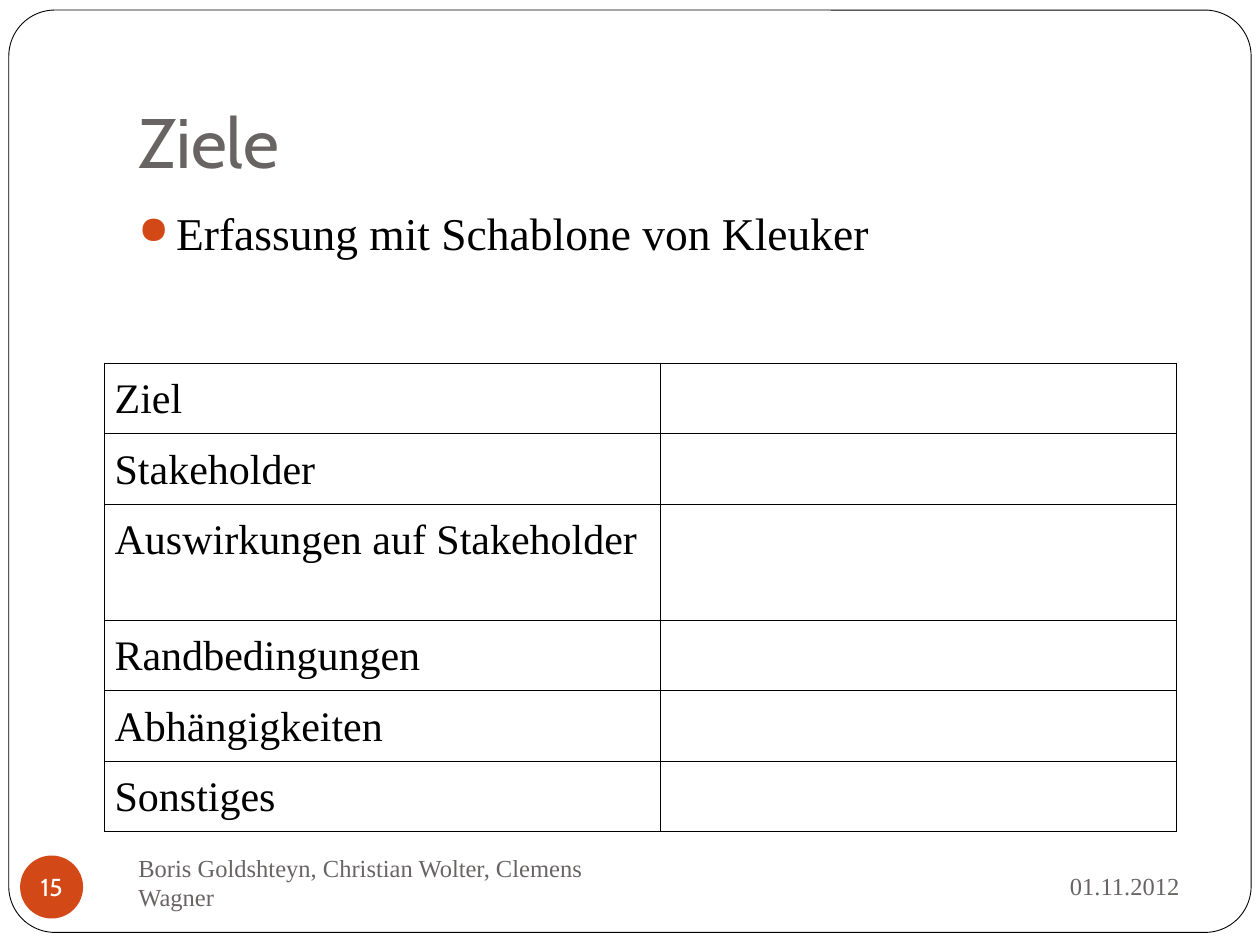
from dataclasses import dataclass

from lxml import etree
from pptx import Presentation
from pptx.dml.color import RGBColor
from pptx.enum.shapes import MSO_SHAPE
from pptx.enum.text import MSO_ANCHOR, PP_ALIGN
from pptx.oxml.ns import qn
from pptx.util import Inches, Pt

ROUND, OVAL = MSO_SHAPE.ROUNDED_RECTANGLE, MSO_SHAPE.OVAL
TOP, MIDDLE, BOTTOM = MSO_ANCHOR.TOP, MSO_ANCHOR.MIDDLE, MSO_ANCHOR.BOTTOM
LEFT, CENTER, RIGHT = PP_ALIGN.LEFT, PP_ALIGN.CENTER, PP_ALIGN.RIGHT


@dataclass(frozen=True)
class Theme:
    black: str = "000000"
    white: str = "FFFFFF"
    gray: str = "696464"
    accent: str = "D34817"
    head: str = "Cabin"
    body: str = "Times New Roman"
    title: float = 40
    lead: float = 26
    cell: float = 24
    small: float = 14
    frame: float = 0.5
    grid: float = 0.45


class Deck:
    """Draws styled elements on the current slide."""

    def __init__(self, prs, theme):
        self.theme = theme
        self.slide = prs.slides.add_slide(prs.slide_layouts[6])

    def add_run(self, para, text, size, font, color):
        run = para.add_run()
        run.text = text
        run.font.size = Pt(size)
        run.font.name = font
        run.font.color.rgb = RGBColor.from_string(color)

    def shape(self, kind, box, fill, line=None):
        shape = self.slide.shapes.add_shape(kind, *map(Inches, box))
        shape.shadow.inherit = False
        shape.fill.solid()
        shape.fill.fore_color.rgb = RGBColor.from_string(fill)
        if line:
            shape.line.color.rgb = RGBColor.from_string(line)
            shape.line.width = Pt(self.theme.frame)
        else:
            shape.line.fill.background()
        return shape

    def frame(self, box, round_by):
        shape = self.shape(ROUND, box, self.theme.white, self.theme.black)
        shape.adjustments[0] = round_by

    def badge(self, box, text):
        frame = self.shape(OVAL, box, self.theme.accent).text_frame
        frame.margin_left = frame.margin_right = 0
        frame.margin_top = frame.margin_bottom = 0
        frame.word_wrap = False
        frame.vertical_anchor = MIDDLE
        para = frame.paragraphs[0]
        para.alignment = CENTER
        self.add_run(para, text, self.theme.small, self.theme.head, self.theme.white)

    def text(self, box, text, size, font, color, anchor=MIDDLE, align=LEFT, base=0.05):
        frame = self.slide.shapes.add_textbox(*map(Inches, box)).text_frame
        frame.word_wrap = True
        frame.vertical_anchor = anchor
        frame.margin_bottom = Inches(base)
        para = frame.paragraphs[0]
        para.alignment = align
        self.add_run(para, text, size, font, color)
        return para

    def bullet(self, box, text):
        theme = self.theme
        para = self.text(box, text, theme.lead, theme.body, theme.black, TOP)
        para.space_before = para.space_after = Pt(6)
        props = para._p.get_or_add_pPr()
        props.set("marL", str(Inches(0.3)))
        props.set("indent", str(Inches(-0.3)))
        tint = etree.SubElement(props, qn("a:buClr"))
        etree.SubElement(tint, qn("a:srgbClr"), val=theme.accent)
        etree.SubElement(props, qn("a:buSzPct"), val="85000")
        etree.SubElement(props, qn("a:buChar"), char="●")

    def border(self, cell):
        props = cell._tc.get_or_add_tcPr()
        for index, side in enumerate(("lnL", "lnR", "lnT", "lnB")):
            line = etree.Element(qn(f"a:{side}"), w=str(Pt(self.theme.grid)))
            fill = etree.SubElement(line, qn("a:solidFill"))
            etree.SubElement(fill, qn("a:srgbClr"), val=self.theme.black)
            props.insert(index, line)

    def table(self, left, top, widths, rows):
        theme = self.theme
        box = left, top, sum(widths), sum(height for _, height in rows)
        table = self.slide.shapes.add_table(
            len(rows), len(widths), *map(Inches, box)).table
        table.first_row = table.horz_banding = False
        for column, width in zip(table.columns, widths):
            column.width = Inches(width)
        for row, (label, height) in zip(table.rows, rows):
            row.height = Inches(height)
            for cell in row.cells:
                cell.margin_left = cell.margin_right = Inches(0.08)
                cell.fill.background()
                self.border(cell)
            para = row.cells[0].text_frame.paragraphs[0]
            para.line_spacing = 1.15
            self.add_run(para, label, theme.cell, theme.body, theme.black)


def main():
    prs = Presentation()
    prs.slide_width, prs.slide_height = Inches(10), Inches(7.5)
    theme = Theme()
    deck = Deck(prs, theme)
    note = theme.small, theme.body, theme.gray
    step = 0.46

    deck.frame((0.07, 0.08, 9.86, 7.32), 0.05)
    deck.text((1, 0.3, 8.5, 1.25), "Ziele", theme.title, theme.head, theme.gray,
              BOTTOM, base=0.1)
    deck.text((6.75, 6.77, 2.71, 0.52), "01.11.2012", *note, align=RIGHT)
    deck.text((1, 6.75, 4.33, 0.5),
              "Boris Goldshteyn, Christian Wolter, Clemens Wagner", *note)
    deck.badge((0.16, 6.79, 0.5, 0.5), "15")
    deck.bullet((1, 1.58, 8.5, 5), "Erfassung mit Schablone von Kleuker")
    deck.table(0.83, 2.88, (4.41, 4.1), (
        ("Ziel", step),
        ("Stakeholder", step),
        ("Auswirkungen auf Stakeholder", 2 * step),
        ("Randbedingungen", step),
        ("Abhängigkeiten", step),
        ("Sonstiges", step),
    ))
    prs.save("out.pptx")


if __name__ == "__main__":
    main()
